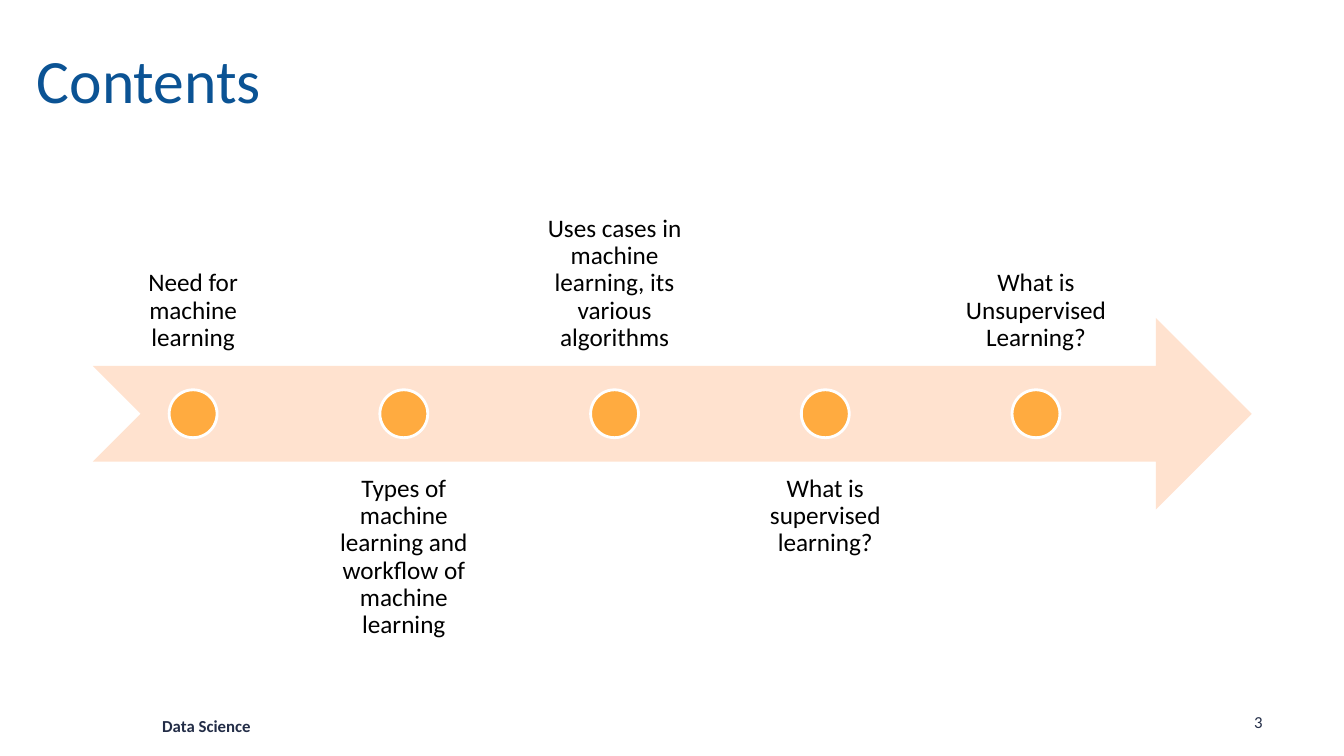
"""Build the Contents slide: five topics placed along a notched arrow."""
from dataclasses import dataclass

import pptx
import pptx.dml.color
import pptx.enum.shapes
import pptx.enum.text
import pptx.util

WIDTH, HEIGHT = 13.33, 7.5
LEFT, TOP = 0.92, 1.73
COL, ROW = 2.09, 0.95
LABEL_W = 1.99
ARROW_W = 5.5 * COL
DOT = ROW / 2
COLORS = {
    "title": "0B5394",
    "footer": "232D47",
    "label": "000000",
    "arrow": "FFE2CF",
    "dot": "FFAB40",
    "outline": "FFFFFF",
}
ALIGN = pptx.enum.text.PP_ALIGN
ANCHOR = pptx.enum.text.MSO_ANCHOR
SHAPE = pptx.enum.shapes.MSO_SHAPE


@dataclass(frozen=True)
class Box:
    x: float
    y: float
    w: float
    h: float

    def emu(self) -> list:
        return [pptx.util.Inches(v) for v in (self.x, self.y, self.w, self.h)]


@dataclass(frozen=True)
class Topic:
    text: str
    above: bool


TOPICS = [
    Topic("Need for machine learning", True),
    Topic("Types of machine learning and workflow of machine learning", False),
    Topic("Uses cases in machine learning, its various algorithms", True),
    Topic("What is supervised learning?", False),
    Topic("What is Unsupervised Learning?", True),
]


def rgb(name: str) -> pptx.dml.color.RGBColor:
    return pptx.dml.color.RGBColor.from_string(COLORS[name])


def share(x: float, y: float, w: float, h: float) -> Box:
    return Box(x * WIDTH, y * HEIGHT, w * WIDTH, h * HEIGHT)


def add_text(s, box: Box, text: str, *, size: float, color: str, bold: bool = False,
             align=ALIGN.LEFT, anchor=ANCHOR.TOP, spacing: float = 1.0,
             inset: tuple = (0.1, 0.05)) -> None:
    tf = s.shapes.add_textbox(*box.emu()).text_frame
    tf.word_wrap = True
    tf.vertical_anchor = anchor
    tf.margin_left = tf.margin_right = pptx.util.Inches(inset[0])
    tf.margin_top = tf.margin_bottom = pptx.util.Inches(inset[1])
    p = tf.paragraphs[0]
    p.alignment = align
    p.line_spacing = spacing
    r = p.add_run()
    r.text = text
    r.font.name = "Calibri"
    r.font.size = pptx.util.Pt(size)
    r.font.bold = bold
    r.font.color.rgb = rgb(color)


def add_shape(s, kind, box: Box, fill: str, outline: str = "") -> None:
    sp = s.shapes.add_shape(kind, *box.emu())
    sp.shadow.inherit = False
    sp.fill.solid()
    sp.fill.fore_color.rgb = rgb(fill)
    if outline:
        sp.line.color.rgb = rgb(outline)
        sp.line.width = pptx.util.Pt(2)
    else:
        sp.line.fill.background()


def add_topic(s, index: int, topic: Topic) -> None:
    x = LEFT + index * COL
    y = TOP + (0 if topic.above else 3) * ROW
    add_text(s, Box(x, y, LABEL_W, 2 * ROW), topic.text, size=18, color="label",
             align=ALIGN.CENTER, anchor=ANCHOR.BOTTOM if topic.above else ANCHOR.TOP,
             spacing=0.9, inset=(0.17, 0.14))
    dot = Box(x + (LABEL_W - DOT) / 2, TOP + 2.5 * ROW - DOT / 2, DOT, DOT)
    add_shape(s, SHAPE.OVAL, dot, "dot", "outline")


def main() -> None:
    prs = pptx.Presentation()
    prs.slide_width = pptx.util.Inches(WIDTH)
    prs.slide_height = pptx.util.Inches(HEIGHT)
    s = prs.slides.add_slide(prs.slide_layouts[6])
    add_text(s, share(0.02, 0.01, 0.86, 0.2), "Contents", size=44, color="title",
             anchor=ANCHOR.MIDDLE, spacing=0.9)
    add_shape(s, SHAPE.NOTCHED_RIGHT_ARROW,
              Box(LEFT, TOP + 1.5 * ROW, ARROW_W, 2 * ROW), "arrow")
    for index, topic in enumerate(TOPICS):
        add_topic(s, index, topic)
    add_text(s, Box(1.51, 0.94 * HEIGHT, 2.19, 0.04 * HEIGHT), "Data Science",
             size=12, color="footer", bold=True)
    add_text(s, Box(12.34, 0.935 * HEIGHT, 0.67, 0.04 * HEIGHT), "3",
             size=12, color="footer")
    prs.save("out.pptx")


if __name__ == "__main__":
    main()
